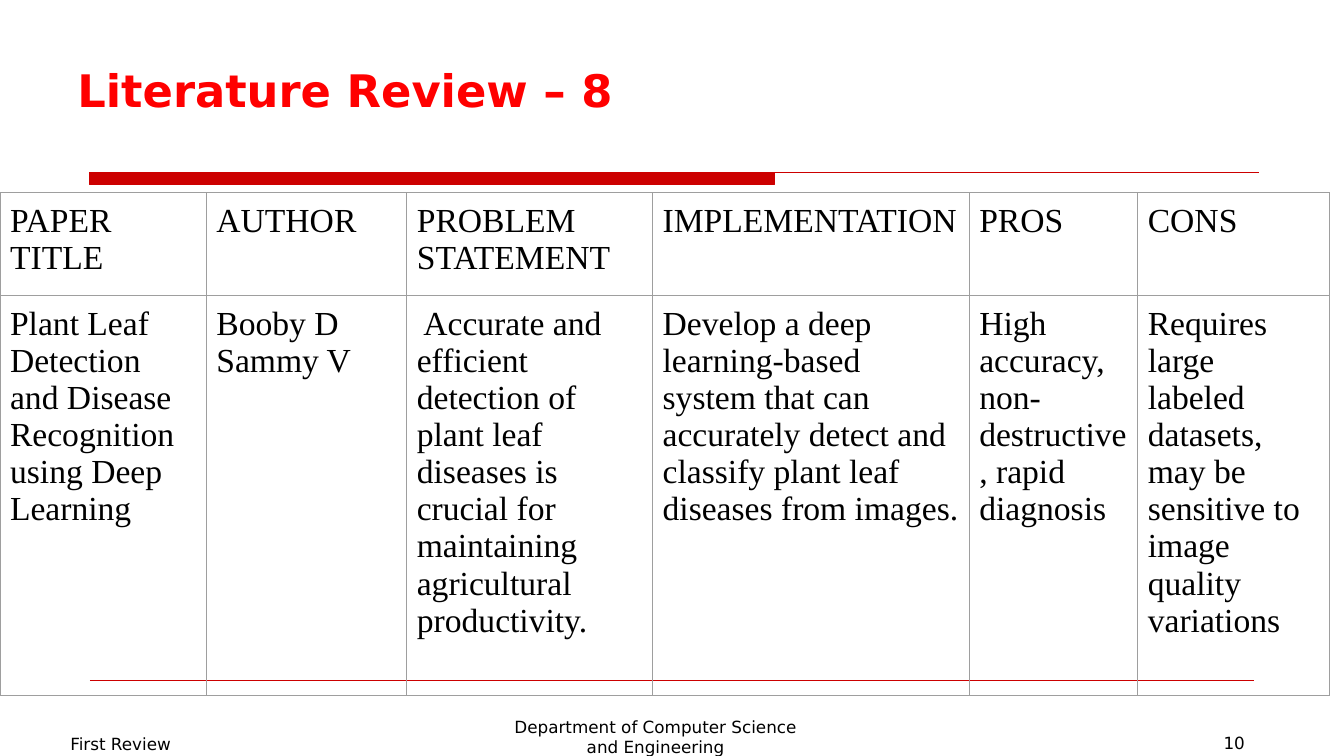
import pptx
import pptx.dml.color
import pptx.enum.shapes
import pptx.enum.text
import pptx.oxml
import pptx.oxml.ns
import pptx.util
from pptx.util import Pt

# Content
TITLE = "Literature Review – 8"
REVIEW = [
    # heading, column width, paragraphs
    ("PAPER\vTITLE", 147.4, "Plant Leaf Detection and Disease Recognition using Deep Learning"),
    ("AUTHOR", 143.2, "Booby D\nSammy V"),
    ("PROBLEM STATEMENT", 175.6, " Accurate and efficient detection of plant leaf diseases "
     "is crucial for maintaining agricultural productivity."),
    ("IMPLEMENTATION", 226.2, "Develop a deep learning-based system that can accurately "
     "detect and classify plant leaf diseases from images."),
    ("PROS", 120.4, "High accuracy, non-destructive, rapid diagnosis"),
    ("CONS", 136.8, "Requires large labeled datasets, may be sensitive to image "
     "quality variations"),
]
ROW_HEIGHTS = [73.3, 286.3]
ALIGN = pptx.enum.text.PP_ALIGN
ANCHOR = pptx.enum.text.MSO_ANCHOR
# text, box, top and bottom inset, alignment
FOOTERS = [
    ("10", (688.3, 519.8, 208, 37.4), 3.6, ALIGN.RIGHT),
    ("Department of Computer Science and Engineering", (352.8, 504.7, 231, 43.9), 7.2, ALIGN.CENTER),
    ("First Review", (43.2, 517, 236, 28.8), 7.2, ALIGN.LEFT),
]
RED, TITLE_RED, BLACK, GREY = "CC0000", "FF0000", "000000", "9E9E9E"
SANS, SERIF = "DejaVu Sans", "Times New Roman"

deck = pptx.Presentation()
deck.slide_width, deck.slide_height = Pt(960), Pt(540)
slide = deck.slides.add_slide(deck.slide_layouts[6])


def colour(hex_code):
    return pptx.dml.color.RGBColor.from_string(hex_code)


def write(frame, text, font, size, hex_code, bold=False, align=ALIGN.LEFT, inset=7.2):
    frame.word_wrap = True
    frame.margin_left = frame.margin_right = Pt(7.2)
    frame.margin_top = frame.margin_bottom = Pt(inset)
    frame.text = text
    for paragraph in frame.paragraphs:
        paragraph.alignment = align
        paragraph.font.name = font
        paragraph.font.size = Pt(size)
        paragraph.font.bold = bold
        paragraph.font.color.rgb = colour(hex_code)


def add_text(box, *args, **kwargs):
    frame = slide.shapes.add_textbox(*map(Pt, box)).text_frame
    write(frame, *args, **kwargs)
    return frame


def outline(shape):
    shape.line.color.rgb = colour(RED)
    shape.line.width = Pt(0.75)


def border(cell):
    properties = cell._tc.get_or_add_tcPr()
    for position, side in enumerate(("lnL", "lnR", "lnT", "lnB")):
        properties.insert(position, pptx.oxml.parse_xml(
            f'<a:{side} {pptx.oxml.ns.nsdecls("a")} w="{Pt(0.75)}"><a:solidFill>'
            f'<a:srgbClr val="{GREY}"/></a:solidFill></a:{side}>'))


# Title rule: thick bar with a thin line running on
left, top, bar_right, bar_bottom, rule_right = 64.2, 123.2, 553, 131.8, 899.4
builder = slide.shapes.build_freeform(left, top, scale=Pt(1))
builder.add_line_segments([(bar_right, top), (bar_right, bar_bottom), (left, bar_bottom)])
builder.move_to(left, top)
builder.add_line_segments([(rule_right, top)], close=False)
title_rule = builder.convert_to_shape()
title_rule.shadow.inherit = False
title_rule.fill.solid()
title_rule.fill.fore_color.rgb = colour(RED)
outline(title_rule)

# Footer rule
footer_rule = slide.shapes.add_connector(
    pptx.enum.shapes.MSO_CONNECTOR.STRAIGHT, Pt(left), Pt(486), Pt(895.6), Pt(486))
outline(footer_rule)
footer_rule._element.spPr.append(
    pptx.oxml.parse_xml(f'<a:effectLst {pptx.oxml.ns.nsdecls("a")}/>'))

# Title
title = add_text((48.2, -9.4, 840, 96), TITLE, SANS, 32, TITLE_RED, bold=True, inset=3.6)
title.vertical_anchor = ANCHOR.BOTTOM

# Review table
widths = [width for _, width, _ in REVIEW]
table = slide.shapes.add_table(
    len(ROW_HEIGHTS), len(REVIEW), Pt(0), Pt(137.5),
    Pt(sum(widths)), Pt(sum(ROW_HEIGHTS))).table
table.first_row = table.horz_banding = False
for row, height in zip(table.rows, ROW_HEIGHTS):
    row.height = Pt(height)
for column, (heading, width, finding) in enumerate(REVIEW):
    table.columns[column].width = Pt(width)
    for row, text in enumerate((heading, finding)):
        cell = table.cell(row, column)
        write(cell.text_frame, text, SERIF, 24, BLACK)
        cell.margin_left = cell.margin_right = Pt(7.2)
        cell.margin_top = cell.margin_bottom = Pt(7.2)
        cell.fill.background()
        border(cell)

# Footers
for text, box, inset, align in FOOTERS:
    add_text(box, text, SANS, 12, BLACK, align=align, inset=inset)

deck.save("out.pptx")
